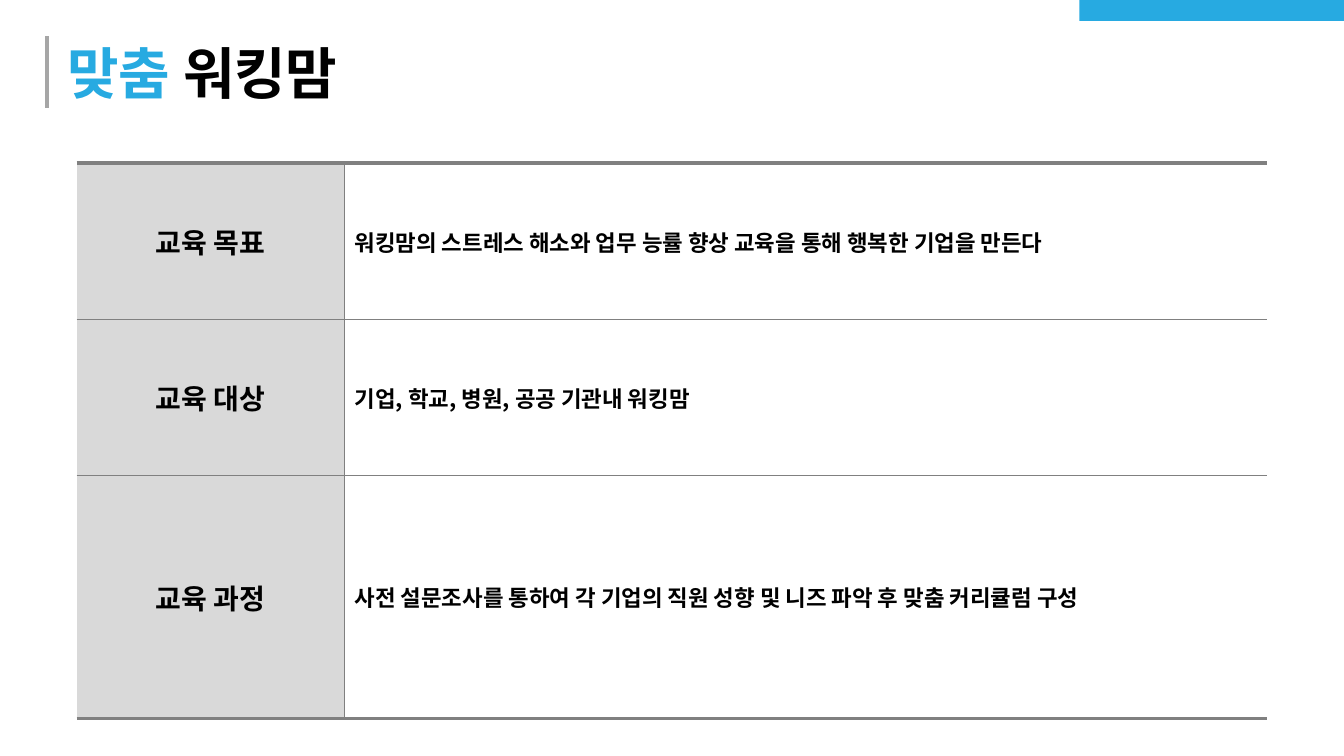
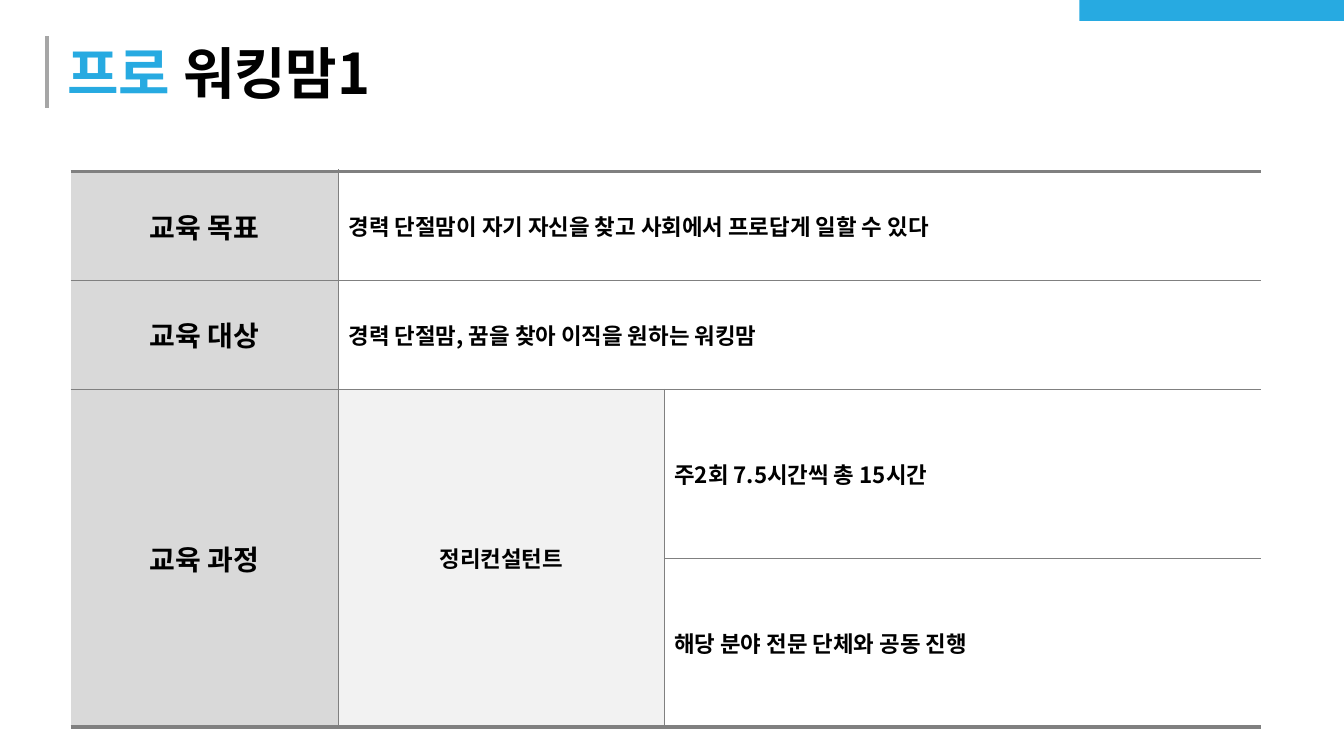
from lxml import etree
from pptx import Presentation
from pptx.dml.color import RGBColor
from pptx.enum import shapes, text
from pptx.oxml.ns import qn
from pptx.util import Pt

FACE = "Noto Sans CJK KR"
BLUE, BLACK, WHITE = "27AAE1", "000000", "FFFFFF"
RULE_GREY, BORDER_GREY = "A6A6A6", "808080"
THICK, THIN = 3, 0.5
CENTER, LEFT = text.PP_ALIGN.CENTER, text.PP_ALIGN.LEFT

CELL_STYLES = {
    "label": (20, CENTER, "D9D9D9"),
    "topic": (16, CENTER, "F2F2F2"),
    "body": (16, LEFT, WHITE),
}


def paint(color_format, hex_color):
    color_format.rgb = RGBColor.from_string(hex_color)


def fill_solid(fill, hex_color):
    fill.solid()
    paint(fill.fore_color, hex_color)


def style_paragraph(paragraph, size, align, hex_color=BLACK):
    paragraph.alignment = align
    font = paragraph.font
    font.size = Pt(size)
    font.bold = True
    paint(font.color, hex_color)
    font.name = FACE
    etree.SubElement(font._rPr, qn("a:ea"), typeface=FACE)


def add_band(slide):
    band = slide.shapes.add_shape(
        shapes.MSO_SHAPE.RECTANGLE, Pt(771), Pt(0), Pt(189), Pt(15))
    band.shadow.inherit = False
    fill_solid(band.fill, BLUE)
    band.line.fill.background()
    return band


def add_title_rule(slide):
    rule = slide.shapes.add_connector(
        shapes.MSO_CONNECTOR.STRAIGHT, Pt(33.8), Pt(26), Pt(33.8), Pt(77))
    rule.line.width = Pt(3)
    paint(rule.line.color, RULE_GREY)
    etree.SubElement(rule.element.spPr, qn("a:effectLst"))
    return rule


def prepare_layout(layout, slide):
    for shape_id, part in enumerate((add_band(slide), add_title_rule(slide)), 20):
        part.element.xpath(".//p:cNvPr")[0].set("id", str(shape_id))
        layout.shapes.element.append(part.element)
    heading = layout.placeholders[0]
    heading.left, heading.top = Pt(48.2), Pt(27.4)
    heading.width, heading.height = Pt(723), Pt(48.2)
    frame = heading.text_frame
    frame.margin_left = frame.margin_right = 0
    frame.margin_top = frame.margin_bottom = 0
    frame.vertical_anchor = text.MSO_ANCHOR.MIDDLE
    frame.auto_size = text.MSO_AUTO_SIZE.NONE


def write_title(slide, accent, rest):
    paragraph = slide.shapes.title.text_frame.paragraphs[0]
    style_paragraph(paragraph, 40, LEFT)
    for words, hex_color in ((accent, BLUE), (rest, BLACK)):
        run = paragraph.add_run()
        run.text = words
        paint(run.font.color, hex_color)


def set_border(cell, side, width):
    properties = cell._tc.get_or_add_tcPr()
    border = etree.SubElement(properties, qn(f"a:ln{side}"), w=str(Pt(width)))
    if width:
        solid = etree.SubElement(border, qn("a:solidFill"))
        etree.SubElement(solid, qn("a:srgbClr"), val=BORDER_GREY)
    else:
        etree.SubElement(border, qn("a:noFill"))


def fill_region(table, row, col, words, kind, row_span=1, col_span=1):
    size, align, background = CELL_STYLES[kind]
    end_row, end_col = row + row_span, col + col_span
    row_count, col_count = len(table.rows), len(table.columns)
    origin = table.cell(row, col)
    if row_span * col_span > 1:
        origin.merge(table.cell(end_row - 1, end_col - 1))
    widths = {
        "L": THIN if col else 0,
        "R": THIN if end_col < col_count else 0,
        "T": THIN if row else THICK,
        "B": THIN if end_row < row_count else THICK,
    }
    for r in range(row, end_row):
        for c in range(col, end_col):
            cell = table.cell(r, c)
            on_edge = {"L": c == col, "R": c == end_col - 1,
                       "T": r == row, "B": r == end_row - 1}
            for side, width in widths.items():
                visible = cell.is_merge_origin or on_edge[side]
                set_border(cell, side, width if visible else 0)
            fill_solid(cell.fill, background)
    origin.vertical_anchor = text.MSO_ANCHOR.MIDDLE
    origin.text = words
    style_paragraph(origin.text_frame.paragraphs[0], size, align)


def add_course_table(slide, left, top, col_widths, row_heights, regions):
    table = slide.shapes.add_table(
        len(row_heights), len(col_widths), Pt(left), Pt(top),
        Pt(sum(col_widths)), Pt(sum(row_heights))).table
    table.first_row = table.horz_banding = False
    for column, width in zip(table.columns, col_widths):
        column.width = Pt(width)
    for row, height in zip(table.rows, row_heights):
        row.height = Pt(height)
    for region in regions:
        fill_region(table, *region)


def main():
    prs = Presentation()
    prs.slide_width, prs.slide_height = Pt(960), Pt(540)
    layout = prs.slide_layouts[5]
    custom, pro = [prs.slides.add_slide(layout) for _ in range(2)]
    prepare_layout(layout, custom)

    write_title(custom, "맞춤", " 워킹맘")
    add_course_table(custom, 54.7, 116.6, (191.5, 658.8), (111.6, 111.6, 173.5), [
        (0, 0, "교육 목표", "label"),
        (0, 1, "워킹맘의 스트레스 해소와 업무 능률 향상 교육을 통해 행복한 기업을 만든다", "body"),
        (1, 0, "교육 대상", "label"),
        (1, 1, "기업, 학교, 병원, 공공 기관내 워킹맘", "body"),
        (2, 0, "교육 과정", "label"),
        (2, 1, "사전 설문조사를 통하여 각 기업의 직원 성향 및 니즈 파악 후 맞춤 커리큘럼 구성", "body"),
    ])

    write_title(pro, "프로", " 워킹맘1")
    add_course_table(pro, 50.4, 122.4, (191.5, 232.6, 426.2), (77.8, 77.8, 120.6, 120.6), [
        (0, 0, "교육 목표", "label"),
        (0, 1, "경력 단절맘이 자기 자신을 찾고 사회에서 프로답게 일할 수 있다", "body", 1, 2),
        (1, 0, "교육 대상", "label"),
        (1, 1, "경력 단절맘, 꿈을 찾아 이직을 원하는 워킹맘", "body", 1, 2),
        (2, 0, "교육 과정", "label", 2, 1),
        (2, 1, "정리컨설턴트", "topic", 2, 1),
        (2, 2, "주2회 7.5시간씩 총 15시간", "body"),
        (3, 2, "해당 분야 전문 단체와 공동 진행", "body"),
    ])
    prs.save("out.pptx")


if __name__ == "__main__":
    main()
